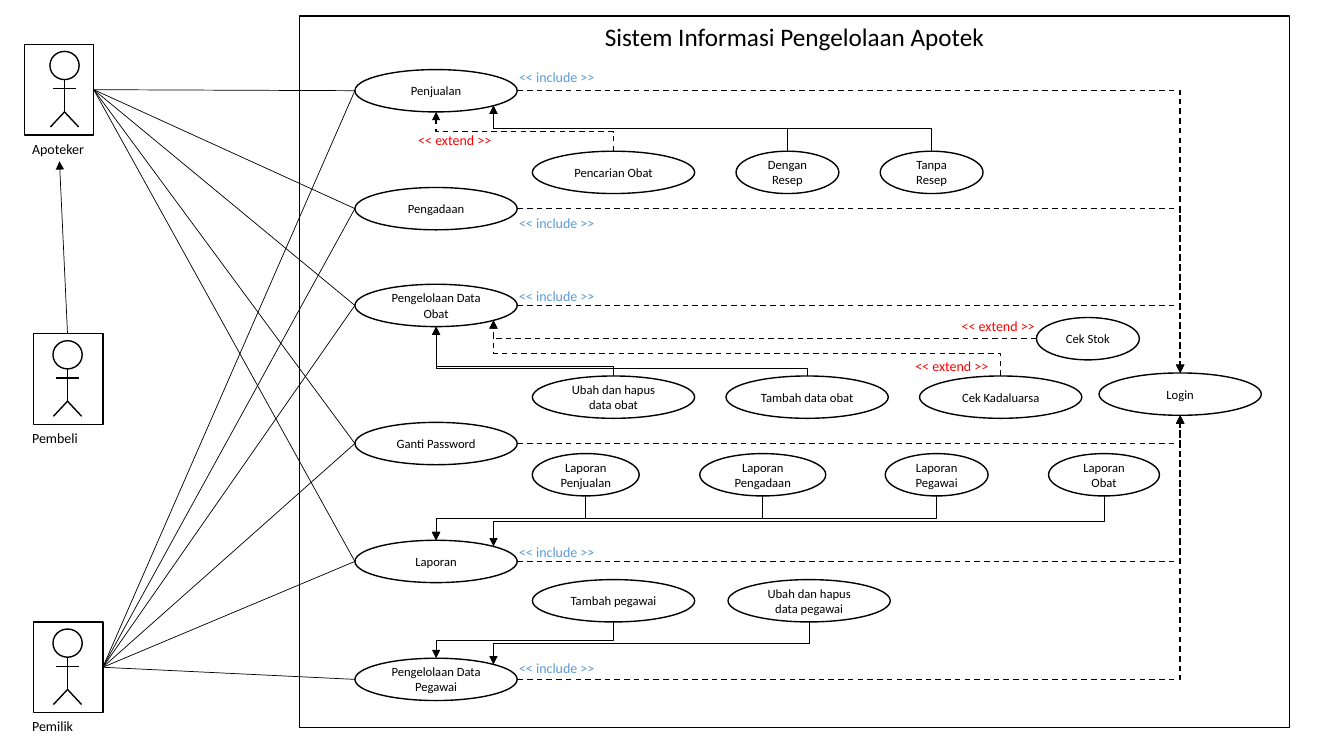
from dataclasses import dataclass
from typing import Any, NamedTuple

from lxml import etree
from pptx import Presentation
from pptx.dml.color import RGBColor
from pptx.enum.dml import MSO_LINE
from pptx.enum.shapes import MSO_CONNECTOR, MSO_SHAPE
from pptx.enum.text import MSO_ANCHOR, MSO_AUTO_SIZE, PP_ALIGN
from pptx.oxml.ns import qn
from pptx.util import Inches, Pt

BLACK = RGBColor(0x00, 0x00, 0x00)
WHITE = RGBColor(0xFF, 0xFF, 0xFF)
BLUE = RGBColor(0x5B, 0x9B, 0xD5)
RED = RGBColor(0xFF, 0x00, 0x00)
STRAIGHT, ELBOW = MSO_CONNECTOR.STRAIGHT, MSO_CONNECTOR.ELBOW
OVAL, RECTANGLE = MSO_SHAPE.OVAL, MSO_SHAPE.RECTANGLE
TOP, MIDDLE = MSO_ANCHOR.TOP, MSO_ANCHOR.MIDDLE
CENTER, DASH = PP_ALIGN.CENTER, MSO_LINE.DASH
FIT_TEXT = MSO_AUTO_SIZE.SHAPE_TO_FIT_TEXT

THIN, NORMAL = 0.5, 1
CASE_HEIGHT = 0.42
DIAGONAL = 0.8536  # lower right point of an ellipse, as a share of its box


class Point(NamedTuple):
    x: float
    y: float


@dataclass(frozen=True)
class UseCase:
    text: str
    x: float
    y: float
    width: float = 1.61

    def at(self, across: float, down: float) -> Point:
        return Point(self.x + self.width * across, self.y + CASE_HEIGHT * down)


@dataclass(frozen=True)
class Actor:
    name: str
    x: float
    y: float
    body_x: float

    @property
    def side(self) -> Point:
        return Point(self.x + 0.69, self.y + 0.45)


@dataclass(frozen=True)
class Branch:
    child: UseCase
    parent: UseCase
    to_corner: bool = False
    dashed: bool = False
    bend: float = 0.5


@dataclass(frozen=True)
class Stereotype:
    text: str
    x: float
    y: float
    color: RGBColor


prs = Presentation()
prs.slide_width, prs.slide_height = Inches(13.33), Inches(7.5)
shapes = prs.slides.add_slide(prs.slide_layouts[6]).shapes


def apply_format(target: Any, values: dict[str, Any]) -> None:
    for key, value in values.items():
        setattr(target, key, value)


def write(frame: Any, text: str, size: float, color: RGBColor) -> None:
    paragraph = frame.paragraphs[0]
    paragraph.text = text
    apply_format(paragraph.font, {"name": "Calibri", "size": Pt(size)})
    paragraph.font.color.rgb = color


def outlined(kind: Any, x: float, y: float, width: float, height: float) -> Any:
    shape = shapes.add_shape(kind, *map(Inches, (x, y, width, height)))
    shape.shadow.inherit = False
    shape.fill.background()
    shape.line.color.rgb, shape.line.width = BLACK, Pt(NORMAL)
    return shape


def centered(shape: Any, text: str, size: float, anchor: Any) -> None:
    apply_format(shape.text_frame, {"word_wrap": True, "vertical_anchor": anchor})
    write(shape.text_frame, text, size, BLACK)
    shape.text_frame.paragraphs[0].alignment = CENTER


def caption(text: str, x: float, y: float, width: float, color: RGBColor) -> None:
    frame = shapes.add_textbox(*map(Inches, (x, y, width, 0.27))).text_frame
    apply_format(frame, {"word_wrap": False, "auto_size": FIT_TEXT})
    write(frame, text, 10, color)


def line(start: Point, end: Point, width: float, kind: Any = STRAIGHT,
         dashed: bool = False, arrow: bool = False) -> Any:
    connector = shapes.add_connector(kind, *map(Inches, (*start, *end)))
    connector.line.color.rgb, connector.line.width = BLACK, Pt(width)
    if dashed:
        connector.line.dash_style = DASH
    properties = connector.element.spPr
    if arrow:
        etree.SubElement(properties.find(qn("a:ln")), qn("a:tailEnd"), type="triangle")
    etree.SubElement(properties, qn("a:effectLst"))
    return connector


def corner_arrow(start: Point, end: Point) -> None:
    """Dashed arrow that leaves sideways and turns once."""
    leftward = end.x < start.x
    first, last = (end, start) if leftward else (start, end)
    properties = line(first, last, NORMAL, ELBOW, True, True).element.spPr
    properties.find(qn("a:prstGeom")).set("prst", "bentConnector2")
    if leftward:
        properties.find(qn("a:xfrm")).set("rot", str(180 * 60000))


def step_arrow(branch: Branch) -> None:
    """Arrow that leaves vertically, runs left and turns again to its parent."""
    upward = branch.child.y > branch.parent.y
    start = branch.child.at(0.5, 0 if upward else 1)
    across = DIAGONAL if branch.to_corner else 0.5
    down = across if branch.to_corner else 1
    end = branch.parent.at(across, down if upward else 1 - down)
    # The box is laid out before its quarter turn, so its sides are swapped
    width, height = abs(end.y - start.y), start.x - end.x
    left = (start.x + end.x - width) / 2
    top = (start.y + end.y - height) / 2
    connector = line(Point(left, top), Point(left + width, top + height),
                     NORMAL if branch.dashed else THIN, ELBOW, branch.dashed, True)
    frame = connector.element.spPr.find(qn("a:xfrm"))
    frame.set("rot", str((270 if upward else 90) * 60000))
    if upward:
        frame.set("flipV", "1")
    adjustments = connector.element.spPr.find(qn("a:prstGeom")).find(qn("a:avLst"))
    etree.SubElement(adjustments, qn("a:gd"), name="adj1",
                     fmla=f"val {round(branch.bend * 100000)}")


def draw_actor(actor: Actor) -> None:
    x, y = actor.body_x, actor.y
    caption(actor.name, 0.22, y + 0.9, 0.78, BLACK)
    outlined(OVAL, x - 0.145, y + 0.07, 0.29, 0.28)
    hip = Point(x, y + 0.67)
    line(Point(x, y + 0.35), hip, NORMAL)
    for foot in (0.14, -0.14):
        line(hip, Point(x + foot, y + 0.82), NORMAL)
    line(Point(x - 0.115, y + 0.44), Point(x + 0.115, y + 0.44), NORMAL)
    outlined(RECTANGLE, actor.x, y, 0.69, 0.9)


# Actors
apoteker = Actor("Apoteker", 0.24, 0.44, 0.64)
pembeli = Actor("Pembeli", 0.33, 3.31, 0.67)
pemilik = Actor("Pemilik", 0.33, 6.17, 0.67)
for actor in (apoteker, pembeli, pemilik):
    draw_actor(actor)

# System boundary and use cases
system = outlined(RECTANGLE, 2.97, 0.16, 9.82, 7.06)
centered(system, "Sistem Informasi Pengelolaan Apotek", 18, TOP)

main_cases = [UseCase(text, 3.52, y) for text, y in (
    ("Penjualan", 0.69), ("Pengadaan", 1.86), ("Pengelolaan Data Obat", 2.82),
    ("Ganti Password", 4.19), ("Laporan", 5.36), ("Pengelolaan Data Pegawai", 6.53))]
penjualan, pengadaan, obat, password, laporan, pegawai = main_cases
login = UseCase("Login", 10.9, 3.7)
cek_stok = UseCase("Cek Stok", 10.28, 3.15, 1.02)
branches = [
    Branch(UseCase("Pencarian Obat", 5.28, 1.5), penjualan, dashed=True),
    Branch(UseCase("Dengan Resep", 7.3, 1.5, 1.02), penjualan, to_corner=True),
    Branch(UseCase("Tanpa Resep", 8.73, 1.5, 1.02), penjualan, to_corner=True),
    Branch(UseCase("Ubah dan hapus data obat", 5.28, 3.73), obat, bend=0.19),
    Branch(UseCase("Tambah data obat", 7.2, 3.73), obat, bend=0.16),
    Branch(UseCase("Cek Kadaluarsa", 9.12, 3.73), obat, True, True, 0.4),
    Branch(UseCase("Laporan Penjualan", 5.28, 4.5, 1.06), laporan),
    Branch(UseCase("Laporan Pengadaan", 6.94, 4.5, 1.25), laporan),
    Branch(UseCase("Laporan Pegawai", 8.78, 4.5, 1.02), laporan),
    Branch(UseCase("Laporan Obat", 10.4, 4.5, 1.1), laporan, to_corner=True),
    Branch(UseCase("Tambah pegawai", 5.28, 5.75), pegawai),
    Branch(UseCase("Ubah dan hapus data pegawai", 7.22, 5.75), pegawai, to_corner=True),
]
for case in (*main_cases, login, cek_stok, *(branch.child for branch in branches)):
    ellipse = outlined(OVAL, case.x, case.y, case.width, CASE_HEIGHT)
    ellipse.fill.solid()
    ellipse.fill.fore_color.rgb = WHITE
    centered(ellipse, case.text, 9, MIDDLE)

# Relations
line(Point(pembeli.body_x, pembeli.y), Point(0.59, 1.6), THIN, arrow=True)
for actor, cases in ((apoteker, main_cases[:-1]), (pemilik, main_cases)):
    for case in cases:
        line(case.at(0, 0.5), actor.side, THIN)
for case in main_cases:
    corner_arrow(case.at(1, 0.5), login.at(0.5, 0 if case.y < login.y else 1))
corner_arrow(cek_stok.at(0, 0.5), obat.at(DIAGONAL, DIAGONAL))
for branch in branches:
    step_arrow(branch)

# Stereotypes
stereotypes = [Stereotype("<< include >>", 5.05, y, BLUE)
               for y in (0.63, 2.08, 2.8, 5.34, 6.49)]
stereotypes += [Stereotype("<< extend >>", x, y, RED)
                for x, y in ((4.05, 1.26), (8.98, 3.5), (9.44, 3.1))]
for label in stereotypes:
    caption(label.text, label.x, label.y, 1, label.color)

prs.save("out.pptx")
